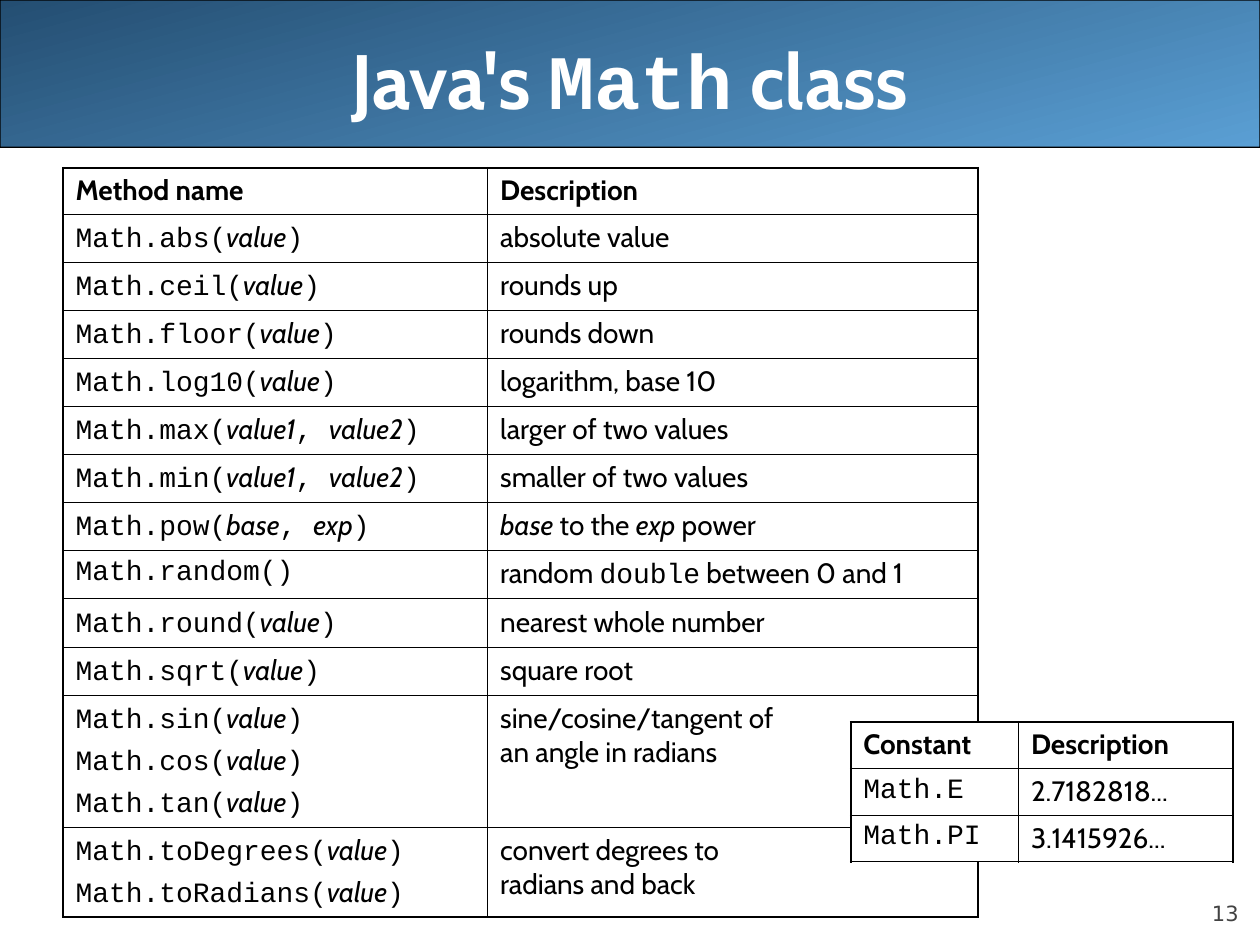
from pptx import Presentation
from pptx.dml.color import RGBColor
from pptx.enum.shapes import MSO_SHAPE
from pptx.enum.text import MSO_ANCHOR, PP_ALIGN
from pptx.oxml import parse_xml
from pptx.oxml.ns import nsdecls
from pptx.util import Cm, Pt

COLORS = {"dark": "244E72", "light": "5A9FD4", "ink": "000000",
          "paper": "FFFFFF", "number": "424242"}
BODY, CODE = "Cabin", "Courier New"


def write_spans(para, markup, size, color, bold=False):
    """Pieces are parted by |; a leading # means code, a leading _ italic."""
    for piece in markup.split("|"):
        if piece == "\n":
            para.add_line_break()
            continue
        span = para.add_run()
        span.text = piece.lstrip("#_")
        span.font.name = CODE if piece.startswith("#") else BODY
        span.font.italic = piece.startswith("_")
        span.font.bold = bold
        span.font.size = Pt(size)
        span.font.color.rgb = RGBColor.from_string(COLORS[color])


def add_grid(page, left, top, widths, heights, rows):
    """A ruled table with a heavier outer frame; each cell is a list of paragraphs."""
    grid = page.shapes.add_table(len(rows), len(widths), Cm(left), Cm(top),
                                 Cm(sum(widths)), Cm(sum(heights))).table
    grid.first_row = grid.horz_banding = False
    for column, width in zip(grid.columns, widths):
        column.width = Cm(width)
    for r, (row, height) in enumerate(zip(rows, heights)):
        grid.rows[r].height = Cm(height)
        for c, lines in enumerate(row):
            cell = grid.cell(r, c)
            outer = {"L": c == 0, "R": c == len(widths) - 1,
                     "T": r == 0, "B": r == len(rows) - 1}
            properties = cell._tc.get_or_add_tcPr()
            for side, is_outer in outer.items():
                weight = Pt(1.08 if is_outer else 0.45)
                properties.append(parse_xml(
                    f'<a:ln{side} {nsdecls("a")} w="{weight}"><a:solidFill>'
                    f'<a:srgbClr val="{COLORS["ink"]}"/></a:solidFill></a:ln{side}>'))
            cell.fill.solid()
            cell.fill.fore_color.rgb = RGBColor.from_string(COLORS["paper"])
            for i, line in enumerate(lines):
                frame = cell.text_frame
                para = frame.add_paragraph() if i else frame.paragraphs[0]
                para.space_before = Pt(4)
                write_spans(para, line, 16, "ink", bold=r == 0)


deck = Presentation()
deck.slide_width, deck.slide_height = Cm(25.4), Cm(19.05)
page = deck.slides.add_slide(deck.slide_layouts[6])

# Title band
band = page.shapes.add_shape(MSO_SHAPE.ROUNDED_RECTANGLE, 0, 0, Cm(25.4), Cm(2.97))
band.adjustments[0] = 0.001
band.shadow.inherit = False
band.fill.gradient()
band.fill.gradient_angle = 285
for stop, name, position in zip(band.fill.gradient_stops, ("dark", "light"), (0, 1)):
    stop.color.rgb = RGBColor.from_string(COLORS[name])
    stop.position = position
band.line.color.rgb = RGBColor.from_string(COLORS["ink"])
band.line.width = Pt(0.75)

# Page number
number_box = page.shapes.add_textbox(Cm(22.86), Cm(17.65), Cm(2.11), Cm(1.02))
frame = number_box.text_frame
frame.word_wrap = True
frame.vertical_anchor = MSO_ANCHOR.BOTTOM
frame.margin_left = frame.margin_right = frame.margin_top = frame.margin_bottom = 0
frame.text = "13"
para = frame.paragraphs[0]
para.alignment = PP_ALIGN.RIGHT
para.space_before = Pt(5)
span = para.runs[0]
span.font.name = "DejaVu Sans"
span.font.size = Pt(12)
span.font.color.rgb = RGBColor.from_string(COLORS["number"])

# Title
title_box = page.shapes.add_textbox(Cm(1.27), 0, Cm(22.86), Cm(3.18))
frame = title_box.text_frame
frame.word_wrap = True
frame.vertical_anchor = MSO_ANCHOR.MIDDLE
frame.paragraphs[0].alignment = PP_ALIGN.CENTER
write_spans(frame.paragraphs[0], "Java's |#Math| class", 44, "paper", bold=True)

# Methods: names with their arguments, then the description
methods = [
    (["abs"], "value", "absolute value"),
    (["ceil"], "value", "rounds up"),
    (["floor"], "value", "rounds down"),
    (["log10"], "value", "logarithm, base 10"),
    (["max"], "value1 value2", "larger of two values"),
    (["min"], "value1 value2", "smaller of two values"),
    (["pow"], "base exp", "_base| to the |_exp| power"),
    (["random"], "", "random |#double| between 0 and 1"),
    (["round"], "value", "nearest whole number"),
    (["sqrt"], "value", "square root"),
    (["sin", "cos", "tan"], "value", "sine/cosine/tangent of|\n|an angle in radians"),
    (["toDegrees", "toRadians"], "value", "convert degrees to|\n|radians and back"),
]
method_rows = [(["Method name"], ["Description"])]
for names, arguments, description in methods:
    inside = "|#, |".join("_" + argument for argument in arguments.split())
    ending = f"(|{inside}|#)" if inside else "()"
    method_rows.append(([f"#Math.{name}{ending}" for name in names], [description]))
add_grid(page, 1.27, 3.38, [8.56, 9.88], [0.93] + [0.97] * 10 + [2.66, 1.81], method_rows)

# Constants
constant_rows = [(["Constant"], ["Description"]),
                 (["#Math.E"], ["2.7182818..."]),
                 (["#Math.PI"], ["3.1415926..."])]
add_grid(page, 17.15, 14.55, [3.38, 4.32], [0.94] * 3, constant_rows)

deck.save("out.pptx")
